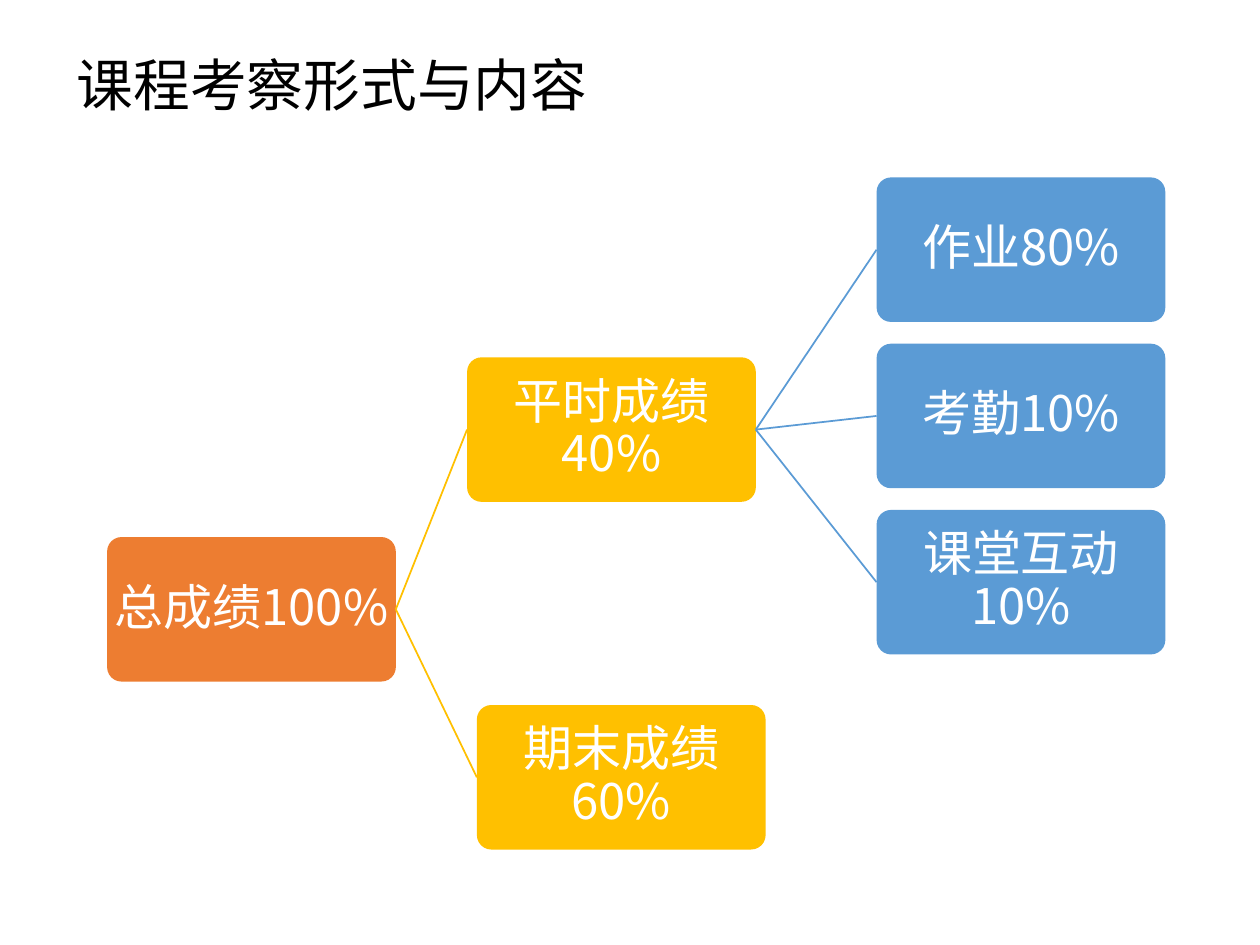
from dataclasses import dataclass

from lxml import etree
from pptx import Presentation
from pptx.dml.color import RGBColor
from pptx.enum.shapes import MSO_CONNECTOR, MSO_SHAPE
from pptx.enum.text import MSO_ANCHOR, MSO_AUTO_SIZE, PP_ALIGN
from pptx.oxml.ns import qn
from pptx.util import Pt

ROUNDED = MSO_SHAPE.ROUNDED_RECTANGLE
STRAIGHT = MSO_CONNECTOR.STRAIGHT
MIDDLE = MSO_ANCHOR.MIDDLE
NO_AUTOFIT = MSO_AUTO_SIZE.NONE
LEFT, CENTER = PP_ALIGN.LEFT, PP_ALIGN.CENTER
LEFT_SITE, RIGHT_SITE = 1, 3
TITLE_ONLY_LAYOUT = 5


@dataclass(frozen=True)
class Theme:
    """Colours, font and sizes of the slide."""

    font: str = "Noto Sans CJK SC"
    title_size: float = 32.4
    node_size: float = 28
    title_color: str = "000000"
    node_text: str = "FFFFFF"
    levels: tuple = ("ED7D31", "FFC000", "5B9BD5")


THEME = Theme()
NODE_WIDTH, NODE_HEIGHT, NODE_INSET = 165, 82.6, 1.44
LEAF_LEFT, LEAF_TOP, LEAF_PITCH = 500.9, 101.4, 95
LEAVES = ("作业80%", "考勤10%", "课堂互动10%")


def format_paragraph(paragraph, size, color, alignment, line_spacing):
    """Apply font and spacing, for Latin and East Asian text alike."""
    paragraph.alignment = alignment
    paragraph.line_spacing = line_spacing
    for run in paragraph.runs:
        run.font.size = Pt(size)
        run.font.color.rgb = RGBColor.from_string(color)
        run.font.name = THEME.font
        east_asian = etree.SubElement(run.font._element, qn("a:ea"))
        east_asian.set("typeface", THEME.font)


def set_title(slide, text):
    """Place and format the title placeholder."""
    title = slide.shapes.title
    title.left, title.top, title.width, title.height = map(Pt, (36.7, 31.7, 538.6, 39.6))
    frame = title.text_frame
    frame.text = text
    frame.auto_size = NO_AUTOFIT
    frame.vertical_anchor = MIDDLE
    format_paragraph(frame.paragraphs[0], THEME.title_size, THEME.title_color, LEFT, 0.8)


def add_node(slide, text, left, top, level):
    """Add one rounded box of the grading tree."""
    node = slide.shapes.add_shape(ROUNDED, Pt(left), Pt(top), Pt(NODE_WIDTH), Pt(NODE_HEIGHT))
    node.adjustments[0] = 0.1
    node.shadow.inherit = False
    node.fill.solid()
    node.fill.fore_color.rgb = RGBColor.from_string(THEME.levels[level])
    node.line.fill.background()
    frame = node.text_frame
    frame.text = text
    frame.word_wrap = True
    frame.vertical_anchor = MIDDLE
    frame.margin_left = frame.margin_right = Pt(NODE_INSET)
    frame.margin_top = frame.margin_bottom = Pt(NODE_INSET)
    format_paragraph(frame.paragraphs[0], THEME.node_size, THEME.node_text, CENTER, 0.9)
    return node


def add_branch(slide, parent, child, level):
    """Join a parent's right side to a child's left side."""
    branch = slide.shapes.add_connector(STRAIGHT, 0, 0, 0, 0)
    branch.begin_connect(parent, RIGHT_SITE)
    branch.end_connect(child, LEFT_SITE)
    branch.line.width = Pt(1)
    branch.line.color.rgb = RGBColor.from_string(THEME.levels[level])
    etree.SubElement(branch._element.spPr, qn("a:effectLst"))


def add_child(slide, parent, text, left, top, level):
    """Add a node together with the branch leading to it."""
    child = add_node(slide, text, left, top, level)
    add_branch(slide, parent, child, level)
    return child


def main():
    """Build the slide with the grading tree."""
    presentation = Presentation()
    presentation.slide_width, presentation.slide_height = Pt(720), Pt(540)
    slide = presentation.slides.add_slide(presentation.slide_layouts[TITLE_ONLY_LAYOUT])
    set_title(slide, "课程考察形式与内容")
    total = add_node(slide, "总成绩100%", 61.2, 306.9, 0)
    coursework = add_child(slide, total, "平时成绩40%", 266.9, 204.2, 1)
    for index, text in enumerate(LEAVES):
        add_child(slide, coursework, text, LEAF_LEFT, LEAF_TOP + index * LEAF_PITCH, 2)
    add_child(slide, total, "期末成绩60%", 272.5, 402.9, 1)
    presentation.save("out.pptx")


if __name__ == "__main__":
    main()
